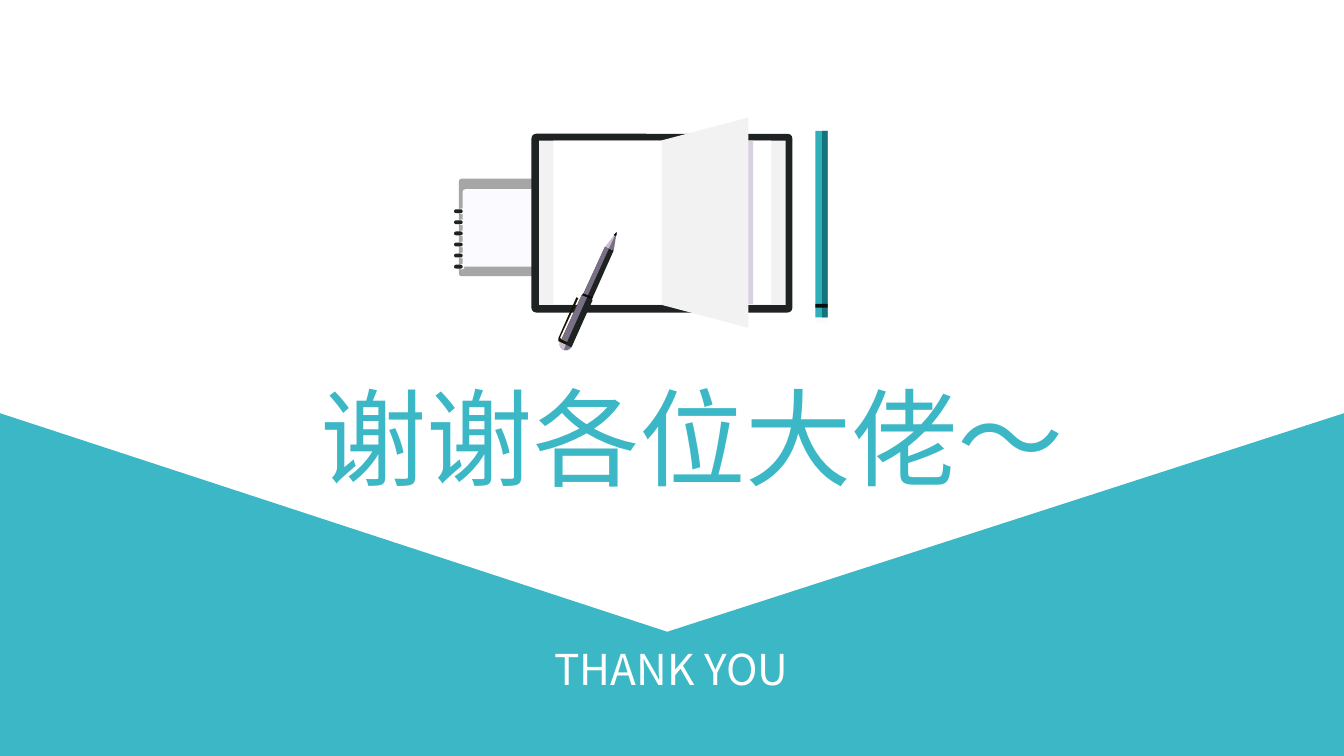
from pptx import Presentation
from pptx.dml.color import RGBColor
from pptx.enum.shapes import MSO_SHAPE as Shape
from pptx.enum.text import MSO_ANCHOR as Anchor, PP_ALIGN as Align
from pptx.util import Inches, Pt

COLORS = {
    "teal": "3CB7C6", "white": "FFFFFF", "ink": "1E2222", "paper": "FAFAFF",
    "gray": "A6A6A6", "light": "F2F2F2", "lilac": "D8CFE0", "mauve": "C9BED1",
    "purple": "797085", "black": "0C0B0D", "clip": "181301",
    "pencil": "2FAFB7", "pencil_dark": "14737C",
}


class SlideBuilder:
    """Holds the style and the current slide."""

    def __init__(self, slide, colors):
        self.slide = slide
        self.colors = colors

    def color(self, name):
        return RGBColor.from_string(self.colors[name])

    def paint(self, shape, color):
        shape.shadow.inherit = False
        shape.fill.solid()
        shape.fill.fore_color.rgb = self.color(color)
        shape.line.fill.background()

    def box(self, left, top, width, height, color, kind=Shape.RECTANGLE, radius=None):
        shape = self.slide.shapes.add_shape(
            kind, Inches(left), Inches(top), Inches(width), Inches(height))
        if radius is not None:
            shape.adjustments[0] = radius / min(width, height)
        self.paint(shape, color)

    def rounded(self, left, top, width, height, color, radius):
        self.box(left, top, width, height, color, Shape.ROUNDED_RECTANGLE, radius)

    def polygon(self, points, color):
        corners = [(Inches(x), Inches(y)) for x, y in points]
        builder = self.slide.shapes.build_freeform(*corners[0])
        builder.add_line_segments(corners[1:], close=True)
        self.paint(builder.convert_to_shape(), color)

    def text(self, left, top, width, height, words, size, font, color):
        frame = self.slide.shapes.add_textbox(
            Inches(left), Inches(top), Inches(width), Inches(height)).text_frame
        frame.word_wrap = True
        frame.vertical_anchor = Anchor.MIDDLE
        frame.margin_left = frame.margin_right = 0
        frame.margin_top = frame.margin_bottom = 0
        paragraph = frame.paragraphs[0]
        paragraph.text = words
        paragraph.alignment = Align.CENTER
        paragraph.font.size = Pt(size)
        paragraph.font.name = font
        paragraph.font.color.rgb = self.color(color)


def draw_notepad(page):
    page.rounded(4.8, 1.87, 0.95, 1.02, "gray", 0.03)
    page.rounded(4.84, 1.98, 0.8, 0.81, "paper", 0.03)
    ring_pitch = 0.116
    for ring in range(6):
        page.box(4.8, 2.18 + ring * ring_pitch, 0.06, 0.06, "paper", Shape.OVAL)
    for ring in range(6):
        page.rounded(4.75, 2.19 + ring * ring_pitch, 0.09, 0.04, "ink", 0.02)


def draw_book(page):
    page.rounded(5.56, 1.4, 2.73, 1.87, "ink", 0.05)
    page.box(5.64, 1.47, 2.58, 1.72, "light")
    page.box(5.79, 1.47, 2.28, 1.71, "white")
    page.box(6.94, 1.47, 0.94, 1.71, "lilac")
    # Turning page
    page.polygon([(6.92, 1.47), (7.83, 1.23), (7.83, 3.43), (6.92, 3.19)], "light")


def draw_pen(page):
    # Rounded end
    page.box(5.85, 3.53, 0.14, 0.14, "mauve", Shape.OVAL)
    page.polygon([(5.94, 3.55), (5.98, 3.58), (5.98, 3.63), (5.94, 3.66),
                  (5.9, 3.66)], "purple")
    # Barrel and cap
    page.polygon([(6.09, 3.08), (5.87, 3.56), (5.99, 3.61), (6.2, 3.14)], "ink")
    page.polygon([(6.33, 2.58), (5.87, 3.58), (5.97, 3.63), (6.42, 2.62)], "ink")
    page.polygon([(6.33, 2.58), (6.37, 2.6), (5.92, 3.6), (5.87, 3.58)], "purple")
    page.polygon([(5.88, 3.56), (5.87, 3.58), (5.98, 3.63), (5.99, 3.61)], "ink")
    # Tip
    page.polygon([(6.42, 2.62), (6.45, 2.43), (6.33, 2.58)], "mauve")
    page.polygon([(6.37, 2.6), (6.42, 2.62), (6.45, 2.43)], "purple")
    page.polygon([(6.45, 2.43), (6.42, 2.46), (6.44, 2.47), (6.45, 2.46)], "black")
    # Cap highlight and ring
    page.polygon([(6.14, 3.11), (5.93, 3.58), (5.87, 3.56), (6.09, 3.08)], "purple")
    page.polygon([(6.1, 3.07), (6.09, 3.09), (6.19, 3.13), (6.2, 3.11)], "black")
    # Clip
    page.polygon([(6.03, 3.11), (5.84, 3.54), (5.84, 3.57), (5.92, 3.6), (5.93, 3.58),
                  (5.87, 3.55), (5.86, 3.53), (6.05, 3.12)], "clip")


def draw_pencil(page):
    page.rounded(8.53, 3.15, 0.13, 0.23, "paper", 0.03)
    page.box(8.53, 1.37, 0.13, 1.95, "pencil")
    page.box(8.6, 1.37, 0.06, 1.95, "pencil_dark")
    page.box(8.53, 3.18, 0.13, 0.04, "black")


def main():
    presentation = Presentation()
    presentation.slide_width = Inches(14.06)
    presentation.slide_height = Inches(7.91)
    page = SlideBuilder(
        presentation.slides.add_slide(presentation.slide_layouts[6]), COLORS)

    # Teal envelope at the foot
    page.polygon([(-0.01, 4.32), (6.98, 6.61), (14.07, 4.32), (14.07, 7.91),
                  (-0.01, 7.91)], "teal")

    # Desk illustration
    draw_notepad(page)
    draw_book(page)
    draw_pen(page)
    draw_pencil(page)

    # Closing words
    page.text(4.64, 6.72, 4.77, 0.54, "THANK YOU", 32, "Noto Sans CJK SC", "white")
    page.text(3.02, 3.89, 8.45, 1.35, "谢谢各位大佬～", 80, "Roboto Condensed", "teal")

    presentation.save("out.pptx")


if __name__ == "__main__":
    main()
